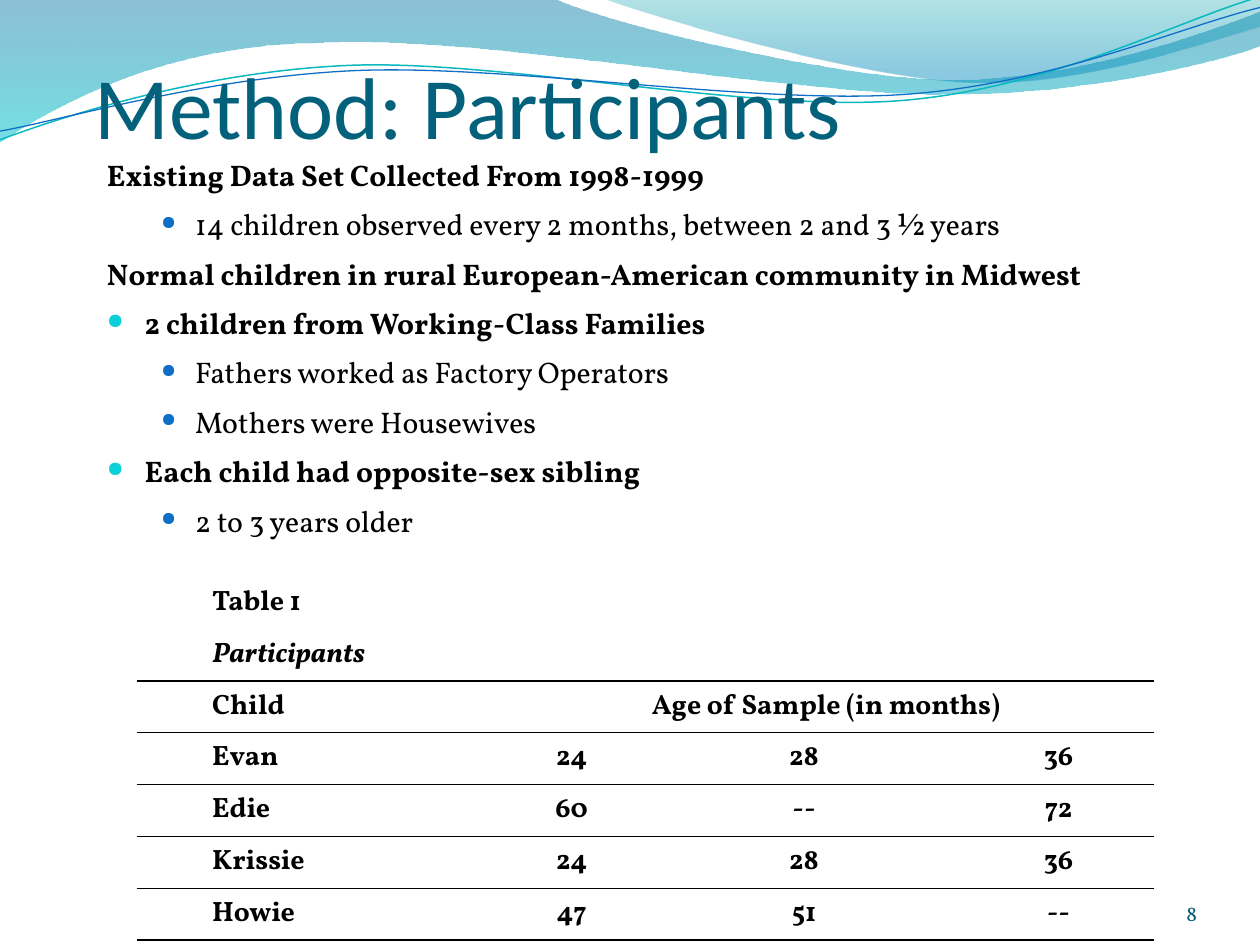
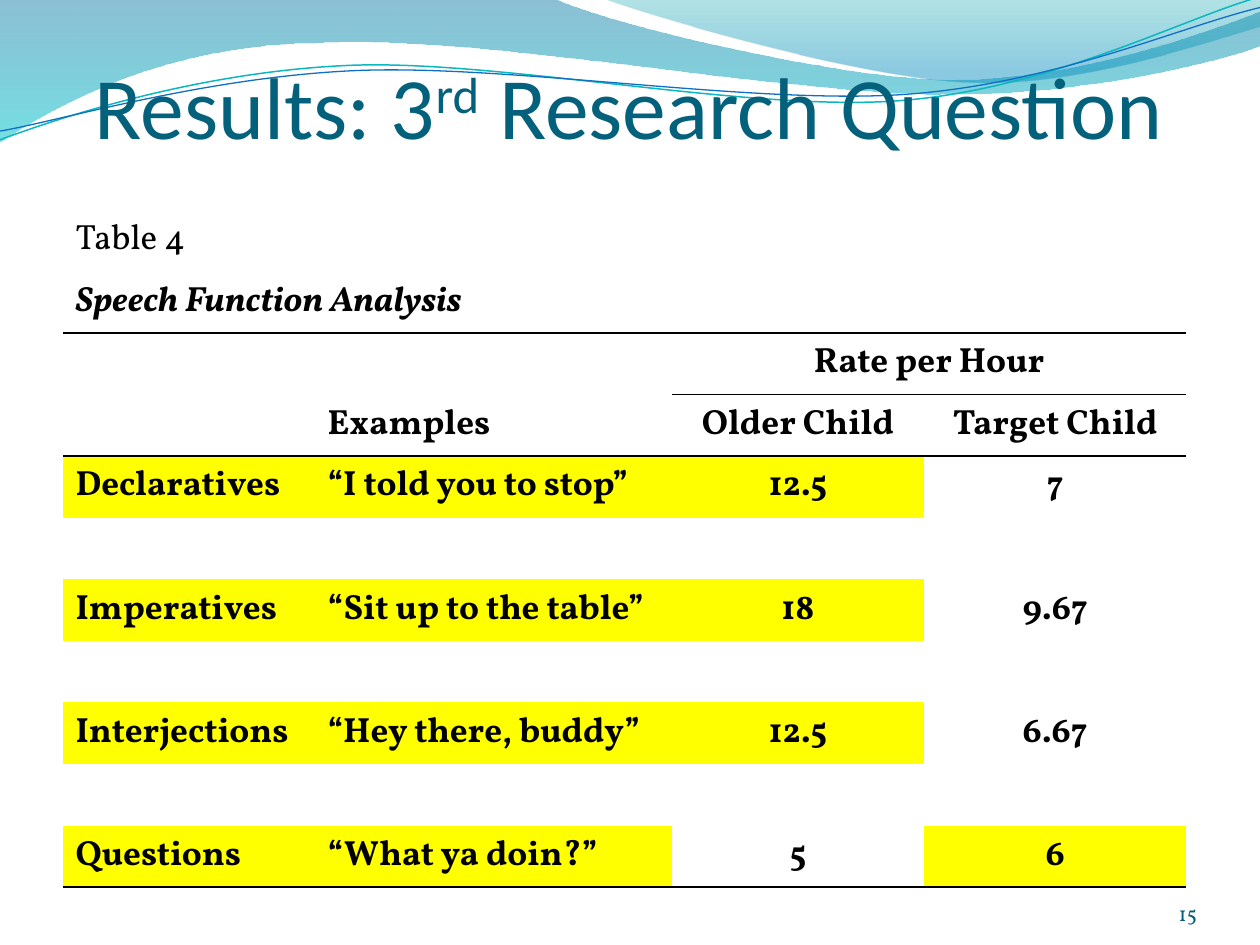
from dataclasses import dataclass
from typing import Optional

from lxml.etree import SubElement
from pptx import Presentation
from pptx.dml.color import RGBColor
from pptx.enum.text import MSO_ANCHOR, PP_ALIGN
from pptx.oxml.ns import qn
from pptx.util import Pt

TITLE_BLUE = RGBColor(0x04, 0x61, 0x7B)
NUMBER_BLUE = RGBColor(0x04, 0x5D, 0x75)
BLUE = RGBColor(0x0F, 0x6F, 0xC6)
AQUA = RGBColor(0x0B, 0xD0, 0xD9)
TEAL_LINE = RGBColor(0x0A, 0xB8, 0xBF)
DEEP_BLUE = RGBColor(0x00, 0x74, 0xA1)
CYAN = RGBColor(0x00, 0xC6, 0xCF)
TEAL = RGBColor(0x00, 0xA1, 0xA9)
OCEAN = RGBColor(0x00, 0x8B, 0xBF)
BLACK = RGBColor(0x00, 0x00, 0x00)
YELLOW = RGBColor(0xFF, 0xFF, 0x00)

TITLE_FONT = "Calibri"
TEXT_FONT = "Vollkorn"
NO_GRID_STYLE = "{2D5ABB26-0587-4C30-8999-92F81FD0307C}"
TITLE_ONLY = 5

Point = tuple[float, float]


@dataclass(frozen=True)
class Stop:
    position: float
    color: RGBColor
    opacity: int


@dataclass(frozen=True)
class Wave:
    start: Point
    segments: tuple[tuple[Point, ...], ...]
    stops: tuple[Stop, ...] = ()
    line_color: Optional[RGBColor] = None
    line_width: float = 0


@dataclass(frozen=True)
class Level:
    margin: float
    hanging: float
    bold: bool
    bullet_color: Optional[RGBColor] = None
    bullet_size: int = 100


@dataclass(frozen=True)
class Row:
    texts: tuple[Optional[str], ...]
    rule: float = 0
    rule_from: int = 0
    highlighted: tuple[int, ...] = ()
    bold: bool = True
    italic: bool = False


@dataclass(frozen=True)
class TableStyle:
    left: float
    top: float
    columns: tuple[float, ...]
    row_height: float
    size: float
    margin: float = 0
    indent: float = 0
    centered_from: int = 1


WAVES = (
    Wave((-0.7, -0.7), (
        ((316.8, -0.7),),
        ((342.7, 12.2), (478.1, 45.4), (545.8, 45.4)),
        ((614.2, 45.4), (689.8, 18.7), (720, 6.5)),
        ((720.7, 25.9),),
        ((707.8, 31.7), (626.4, 54.7), (537.1, 54)),
        ((447.8, 54), (275, 20.2), (185, 24.5)),
        ((92.9, 25.2), (33.1, 59.8), (-0.7, 81.4)),
    ), stops=(Stop(0, DEEP_BLUE, 45), Stop(1, CYAN, 55))),
    Wave((344.9, -0.7), (
        ((366.5, 7.9), (491, 44.6), (553.7, 46.8)),
        ((616.3, 49.7), (691.9, 23), (720, 15.1)),
        ((720, 0),),
    ), stops=(Stop(0, TEAL, 30), Stop(0.8, OCEAN, 45))),
    Wave((0, 79.9), (
        ((34.6, 67), (113.8, 41), (199.4, 37.4)),
        ((284.4, 33.8), (427, 64.1), (513.4, 57.6)),
        ((599.8, 51.1), (675.4, 10.8), (718.6, -1.4)),
    ), line_color=TEAL_LINE, line_width=0.85),
    Wave((0, 74.9), (
        ((33.8, 69.1), (118.1, 43.9), (203.8, 40.3)),
        ((290.2, 36.7), (429.8, 59.8), (516.2, 54)),
        ((601.9, 48.2), (674.6, 15.1), (720, 4.3)),
    ), line_color=BLUE, line_width=0.75),
)

HEADING = Level(21.6, 21.6, True)
POINT = Level(21.6, 21.6, True, AQUA, 72)
DETAIL = Level(50.4, 19.4, False, BLUE, 64)

METHOD_TEXT = (
    (HEADING, "Existing Data Set Collected From 1998-1999"),
    (DETAIL, "14 children observed every 2 months, between 2 and 3 ½ years"),
    (HEADING, "Normal children in rural European-American community in Midwest"),
    (POINT, "2 children from Working-Class Families"),
    (DETAIL, "Fathers worked as Factory Operators"),
    (DETAIL, "Mothers were Housewives"),
    (POINT, "Each child had opposite-sex sibling"),
    (DETAIL, "2 to 3 years older"),
)

PARTICIPANTS_STYLE = TableStyle(78, 330, (170.6, 120.2, 145.4, 145.4), 29.6, 16, 27.4, 8.6)
PARTICIPANTS = (
    Row(("Table 1", "", None, None)),
    Row(("Participants", "", None, None), rule=1, italic=True),
    Row(("Child", "Age of Sample (in months)", None, None), rule=0.75),
    Row(("Evan", "24", "28", "36"), rule=0.75),
    Row(("Edie", "60", "--", "72"), rule=0.75),
    Row(("Krissie", "24", "28", "36"), rule=0.75),
    Row(("Howie", "47", "51", "--"), rule=1),
)

SPEECH_STYLE = TableStyle(36, 120, (144, 204, 144, 150), 35.2, 20, centered_from=2)
BLANK = Row(("", "", "", ""))
SPEECH = (
    Row(("Table 4", None, None, None), bold=False),
    Row(("Speech Function Analysis", None, None, None), rule=1, italic=True),
    Row(("", "", "Rate per Hour", None), rule=0.75, rule_from=2),
    Row(("", "Examples", "Older Child", "Target Child"), rule=1),
    Row(("Declaratives", "“I told you to stop”", "12.5", "7"), highlighted=(0, 1, 2)),
    BLANK,
    Row(("Imperatives", "“Sit up to the table”", "18", "9.67"), highlighted=(0, 1, 2)),
    BLANK,
    Row(("Interjections", "“Hey there, buddy”", "12.5", "6.67"), highlighted=(0, 1, 2)),
    BLANK,
    Row(("Questions", "“What ya doin?”", "5", "6"), rule=1, highlighted=(0, 1, 3)),
)


def bend(shape, segments: tuple[tuple[Point, ...], ...]) -> None:
    lines = iter(list(shape._element.iter(qn("a:lnTo"))))
    for segment in segments:
        group = [next(lines) for _ in segment]
        if len(group) == 3:
            outline = group[0].getparent()
            curve = SubElement(outline, qn("a:cubicBezTo"))
            outline.replace(group[0], curve)
            for line in group:
                curve.append(line[0])
            for line in group[1:]:
                outline.remove(line)


def add_waves(page, layout) -> None:
    for index, wave in enumerate(WAVES):
        corners = [(Pt(x), Pt(y)) for segment in wave.segments for x, y in segment]
        builder = page.shapes.build_freeform(Pt(wave.start[0]), Pt(wave.start[1]))
        builder.add_line_segments(corners, close=bool(wave.stops))
        shape = builder.convert_to_shape()
        bend(shape, wave.segments)
        shape.shadow.inherit = False
        if wave.stops:
            shape.line.fill.background()
            shape.fill.gradient()
            shape.fill.gradient_angle = 270
            for target, stop in zip(shape.fill.gradient_stops, wave.stops):
                target.position = stop.position
                target.color.rgb = stop.color
            for color, stop in zip(shape._element.iter(qn("a:srgbClr")), wave.stops):
                SubElement(color, qn("a:alpha"), val=str(stop.opacity * 1000))
        else:
            shape.fill.background()
            shape.line.color.rgb = wave.line_color
            shape.line.width = Pt(wave.line_width)
        shape._element.xpath(".//p:cNvPr")[0].set("id", str(100 + index))
        layout.shapes._spTree.insert(2 + index, shape._element)


def set_font(font, name: str, size: float, color: RGBColor, bold=None, italic=None) -> None:
    font.name, font.size, font.bold, font.italic = name, Pt(size), bold, italic
    font.color.rgb = color


def set_indent(para, margin: float, indent: float) -> None:
    properties = para._p.get_or_add_pPr()
    properties.set("marL", str(Pt(margin)))
    properties.set("indent", str(Pt(indent)))


def set_title(page, spans: tuple[tuple[str, int], ...], width: float) -> None:
    title = page.shapes.title
    title.left, title.top, title.width, title.height = Pt(54), Pt(12.2), Pt(width), Pt(77.8)
    frame = title.text_frame
    frame.margin_left = frame.margin_right = frame.margin_bottom = 0
    frame.margin_top = Pt(3.6)
    frame.vertical_anchor = MSO_ANCHOR.BOTTOM
    para = frame.paragraphs[0]
    para.alignment = PP_ALIGN.LEFT
    set_font(para.font, TITLE_FONT, 50, TITLE_BLUE)
    for text, baseline in spans:
        span = para.add_run()
        span.text = text
        if baseline:
            span.font._element.set("baseline", str(baseline * 1000))


def add_page_number(page, number: int) -> None:
    box = page.shapes.add_textbox(Pt(624.2), Pt(500.4), Pt(59.8), Pt(28.8))
    frame = box.text_frame
    frame.word_wrap = True
    frame.margin_left = frame.margin_right = frame.margin_top = frame.margin_bottom = 0
    frame.vertical_anchor = MSO_ANCHOR.BOTTOM
    para = frame.paragraphs[0]
    para.text = str(number)
    para.alignment = PP_ALIGN.RIGHT
    set_font(para.font, TEXT_FONT, 12, NUMBER_BLUE)


def add_outline(page, lines: tuple[tuple[Level, str], ...]) -> None:
    frame = page.shapes.add_textbox(Pt(54), Pt(90), Pt(594), Pt(228.2)).text_frame
    frame.word_wrap = True
    for index, (level, text) in enumerate(lines):
        para = frame.add_paragraph() if index else frame.paragraphs[0]
        para.text = text
        para.line_spacing = 0.8
        para.space_before, para.space_after = Pt(2.7), Pt(9.2)
        set_indent(para, level.margin, -level.hanging)
        if level.bullet_color is not None:
            properties = para._p.get_or_add_pPr()
            color = SubElement(properties, qn("a:buClr"))
            SubElement(color, qn("a:srgbClr"), val=str(level.bullet_color))
            SubElement(properties, qn("a:buSzPct"), val=str(level.bullet_size * 1000))
            SubElement(properties, qn("a:buChar"), char="●")
        set_font(para.font, TEXT_FONT, 17, BLACK, level.bold)


def rule_below(cell, width: float) -> None:
    properties = cell._tc.get_or_add_tcPr()
    line = SubElement(properties, qn("a:lnB"), w=str(Pt(width)))
    fill = SubElement(line, qn("a:solidFill"))
    SubElement(fill, qn("a:srgbClr"), val=str(BLACK))
    properties.insert(0, line)


def add_data_table(page, style: TableStyle, rows: tuple[Row, ...]) -> None:
    frame = page.shapes.add_table(
        len(rows), len(style.columns), Pt(style.left), Pt(style.top),
        Pt(sum(style.columns)), Pt(style.row_height * len(rows)))
    table = frame.table
    table.first_row = table.horz_banding = False
    table._tbl.tblPr.find(qn("a:tableStyleId")).text = NO_GRID_STYLE
    for column, width in zip(table.columns, style.columns):
        column.width = Pt(width)
    for row_index, row in enumerate(rows):
        table.rows[row_index].height = Pt(style.row_height)
        origin = 0
        for column_index, text in enumerate(row.texts):
            cell = table.cell(row_index, column_index)
            if column_index in row.highlighted:
                cell.fill.solid()
                cell.fill.fore_color.rgb = YELLOW
            else:
                cell.fill.background()
            if row.rule and column_index >= row.rule_from:
                rule_below(cell, row.rule)
            if text is None:
                if column_index + 1 == len(row.texts):
                    table.cell(row_index, origin).merge(cell)
                continue
            origin = column_index
            cell.vertical_anchor = MSO_ANCHOR.MIDDLE
            if not text:
                continue
            para = cell.text_frame.paragraphs[0]
            para.text = text
            para.alignment = PP_ALIGN.CENTER if column_index >= style.centered_from else PP_ALIGN.LEFT
            set_indent(para, style.margin, style.indent)
            set_font(para.font, TEXT_FONT, style.size, BLACK, row.bold, row.italic)


def main() -> None:
    deck = Presentation()
    deck.slide_width, deck.slide_height = Pt(720), Pt(540)
    layout = deck.slide_layouts[TITLE_ONLY]

    method = deck.slides.add_slide(layout)
    add_waves(method, layout)
    set_title(method, (("Method: Participants", 0),), 540.7)
    add_outline(method, METHOD_TEXT)
    add_data_table(method, PARTICIPANTS_STYLE, PARTICIPANTS)
    add_page_number(method, 8)

    results = deck.slides.add_slide(layout)
    set_title(results, (("Results: 3", 0), ("rd", 30), (" Research Question", 0)), 630)
    add_page_number(results, 15)
    add_data_table(results, SPEECH_STYLE, SPEECH)

    deck.save("out.pptx")


if __name__ == "__main__":
    main()
